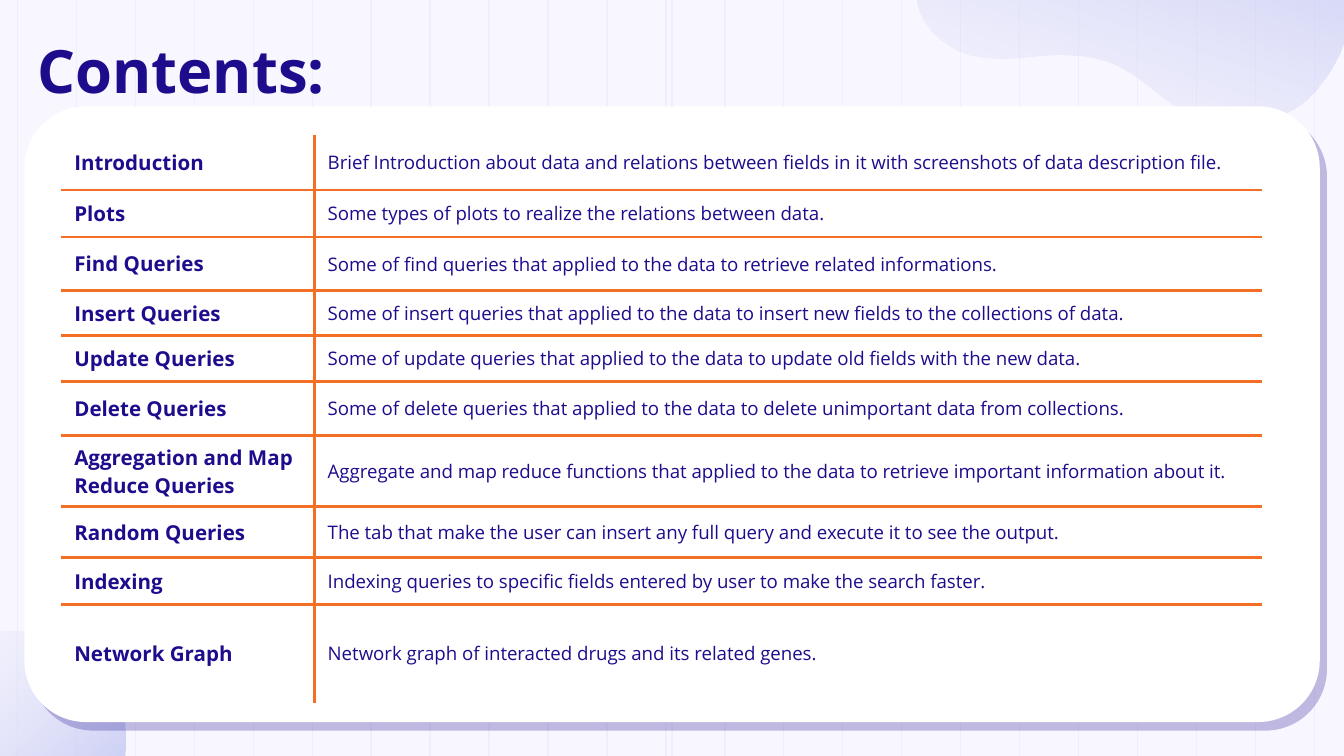
import math
from typing import NamedTuple

from lxml import etree
from pptx import Presentation
from pptx.dml.color import RGBColor
from pptx.enum.shapes import MSO_CONNECTOR, MSO_SHAPE
from pptx.enum.text import MSO_ANCHOR
from pptx.oxml import parse_xml
from pptx.oxml.ns import nsdecls, qn
from pptx.util import Pt

STRAIGHT = MSO_CONNECTOR.STRAIGHT
OVAL = MSO_SHAPE.OVAL
ROUNDED = MSO_SHAPE.ROUNDED_RECTANGLE
MIDDLE = MSO_ANCHOR.MIDDLE

FONT = "Open Sans"
COLORS = {
    "background": "F8F6FF",
    "grid": "EFEEFC",
    "blob": "9BA6E9",
    "card": "FFFFFF",
    "text": "1D0D8D",
    "rule": "F46F25",
}


class Topic(NamedTuple):
    name: str
    description: str
    height: float


class Curve(NamedTuple):
    first: tuple[float, float]
    second: tuple[float, float]
    end: tuple[float, float]


TOPICS = [
    Topic("Introduction", "Brief Introduction about data and relations between fields in it with screenshots of data description file.", 29.46),
    Topic("Plots", "Some types of plots to realize the relations between data.", 25.18),
    Topic("Find Queries", "Some of find queries that applied to the data to retrieve related informations.", 28.93),
    Topic("Insert Queries", "Some of insert queries that applied to the data to insert new fields to the collections of data.", 24.11),
    Topic("Update Queries", "Some of update queries that applied to the data to update old fields with the new data.", 24.64),
    Topic("Delete Queries", "Some of delete queries that applied to the data to delete unimportant data from collections.", 28.93),
    Topic("Aggregation and Map Reduce Queries", "Aggregate and map reduce functions that applied to the data to retrieve important information about it.", 38.04),
    Topic("Random Queries", "The tab that make the user can insert any full query and execute it to see the output.", 27.32),
    Topic("Indexing", "Indexing queries to specific fields entered by user to make the search faster.", 25.18),
    Topic("Network Graph", "Network graph of interacted drugs and its related genes.", 52.5),
]

BLOB_START = (509, -28.1)
BLOB_CENTER = (612.7, 8.6)
BLOB_ROTATION = 243.6
BLOB_CURVES = [
    Curve((506.9, -27.4), (505.4, -25.9), (504, -24.5)),
    Curve((496.1, -18), (491, -7.2), (493.2, 2.9)),
    Curve((495.4, 13), (507.6, 24.5), (519.8, 28.1)),
    Curve((532.8, 31.7), (545.8, 30.2), (559.4, 28.8)),
    Curve((572.4, 28.1), (586.1, 28.1), (597.6, 33.1)),
    Curve((612, 38.9), (622.1, 51.8), (636.5, 59)),
    Curve((656.6, 69.1), (685.4, 67), (702, 51.8)),
    Curve((717.1, 36.7), (732.2, 10.1), (720, -15.8)),
    Curve((711.4, -34.6), (689.8, -59.8), (671, -61.2)),
    Curve((671, -61.2), (611.3, -85), BLOB_START),
]


def color(name: str) -> RGBColor:
    return RGBColor.from_string(COLORS[name])


def write_text(text_frame, text: str, *, size: float, bold: bool = False) -> None:
    text_frame.word_wrap = True
    text_frame.vertical_anchor = MIDDLE
    paragraph = text_frame.paragraphs[0]
    run = paragraph.add_run()
    run.text = text
    run.font.name = FONT
    run.font.size = Pt(size)
    run.font.bold = bold
    run.font.color.rgb = color("text")


def draw_grid_line(slide, x: float) -> None:
    line = slide.shapes.add_connector(STRAIGHT, Pt(x), Pt(-20), Pt(x), Pt(425.5))
    line.line.color.rgb = color("grid")
    line.line.width = Pt(0.75)
    etree.SubElement(line._element.spPr, qn("a:effectLst"))


def curve_points(start: tuple[float, float], curves: list[Curve], steps: int = 12) -> list[tuple[float, float]]:
    points = [start]
    for curve in curves:
        anchors = (points[-1], *curve)
        for step in range(1, steps + 1):
            t = step / steps
            weights = [math.comb(3, k) * t**k * (1 - t) ** (3 - k) for k in range(4)]
            points.append(tuple(sum(w * anchor[axis] for w, anchor in zip(weights, anchors)) for axis in (0, 1)))
    return points


def turn_back(point: tuple[float, float]) -> tuple[int, int]:
    angle = math.radians(-BLOB_ROTATION)
    dx, dy = point[0] - BLOB_CENTER[0], point[1] - BLOB_CENTER[1]
    x = BLOB_CENTER[0] + dx * math.cos(angle) - dy * math.sin(angle)
    y = BLOB_CENTER[1] + dx * math.sin(angle) + dy * math.cos(angle)
    return Pt(x), Pt(y)


def paint_gradient(shape) -> None:
    shape.shadow.inherit = False
    shape.line.fill.background()
    shape.fill.gradient()
    shape.fill.gradient_angle = 315
    for stop, name, position, opacity in zip(shape.fill.gradient_stops, ("grid", "blob"), (0, 1), (13, 69)):
        stop.color.rgb = color(name)
        stop.position = position
    for element, opacity in zip(shape._element.spPr.iter(qn("a:srgbClr")), (13, 69)):
        etree.SubElement(element, qn("a:alpha"), val=str(opacity * 1000))


def draw_background(slide) -> None:
    slide.background.fill.solid()
    slide.background.fill.fore_color.rgb = color("background")
    for column in range(23):
        draw_grid_line(slide, 9.36 + 31.58 * column)
    draw_grid_line(slide, 360)

    points = [turn_back(point) for point in curve_points(BLOB_START, BLOB_CURVES)]
    builder = slide.shapes.build_freeform(*points[0], scale=1.0)
    builder.add_line_segments(points[1:], close=True)
    blob = builder.convert_to_shape()
    blob.rotation = BLOB_ROTATION
    paint_gradient(blob)
    paint_gradient(slide.shapes.add_shape(OVAL, Pt(-50.4), Pt(337.7), Pt(117.4), Pt(117.4)))


def draw_card(slide) -> None:
    card = slide.shapes.add_shape(ROUNDED, Pt(13), Pt(57), Pt(694), Pt(329.8))
    card.adjustments[0] = 0.1
    card.fill.solid()
    card.fill.fore_color.rgb = color("card")
    card.line.fill.background()
    card.shadow.inherit = False
    effects = card._element.spPr.find(qn("a:effectLst"))
    effects.append(parse_xml(
        f'<a:outerShdw {nsdecls("a")} blurRad="0" dist="{Pt(6)}" dir="3000000" algn="bl" rotWithShape="0">'
        f'<a:srgbClr val="{COLORS["text"]}"><a:alpha val="25000"/></a:srgbClr></a:outerShdw>'
    ))


def set_borders(cell, visible: dict[str, bool]) -> None:
    properties = cell._tc.get_or_add_tcPr()
    for index, (side, shown) in enumerate(visible.items()):
        fill = f'<a:solidFill><a:srgbClr val="{COLORS["rule"]}"/></a:solidFill>' if shown else "<a:noFill/>"
        properties.insert(index, parse_xml(f'<a:ln{side} {nsdecls("a")} w="{Pt(1.5)}">{fill}</a:ln{side}>'))


def draw_contents(slide, topics: list[Topic]) -> None:
    height = sum(topic.height for topic in topics)
    table = slide.shapes.add_table(len(topics), 2, Pt(32.6), Pt(72.2), Pt(643.4), Pt(height)).table
    table.first_row = False
    table.horz_banding = False
    table.columns[0].width = Pt(135.8)
    table.columns[1].width = Pt(507.6)
    for row, topic in enumerate(topics):
        table.rows[row].height = Pt(topic.height)
        for column, text in enumerate((topic.name, topic.description)):
            cell = table.cell(row, column)
            cell.margin_left = cell.margin_right = Pt(7.2)
            cell.margin_top = cell.margin_bottom = Pt(0)
            cell.vertical_anchor = MIDDLE
            cell.fill.background()
            set_borders(cell, {"L": column == 1, "R": column == 0, "T": row > 0, "B": row < len(topics) - 1})
            write_text(cell.text_frame, text, size=10 if column else 11, bold=column == 0)


def main() -> None:
    presentation = Presentation()
    presentation.slide_width = Pt(720)
    presentation.slide_height = Pt(405)
    slide = presentation.slides.add_slide(presentation.slide_layouts[6])
    draw_background(slide)
    draw_card(slide)
    title = slide.shapes.add_textbox(Pt(13), Pt(9.4), Pt(607.7), Pt(55.4))
    title.text_frame.margin_top = title.text_frame.margin_bottom = Pt(7.2)
    write_text(title.text_frame, "Contents:", size=32, bold=True)
    draw_contents(slide, TOPICS)
    presentation.save("out.pptx")


if __name__ == "__main__":
    main()
